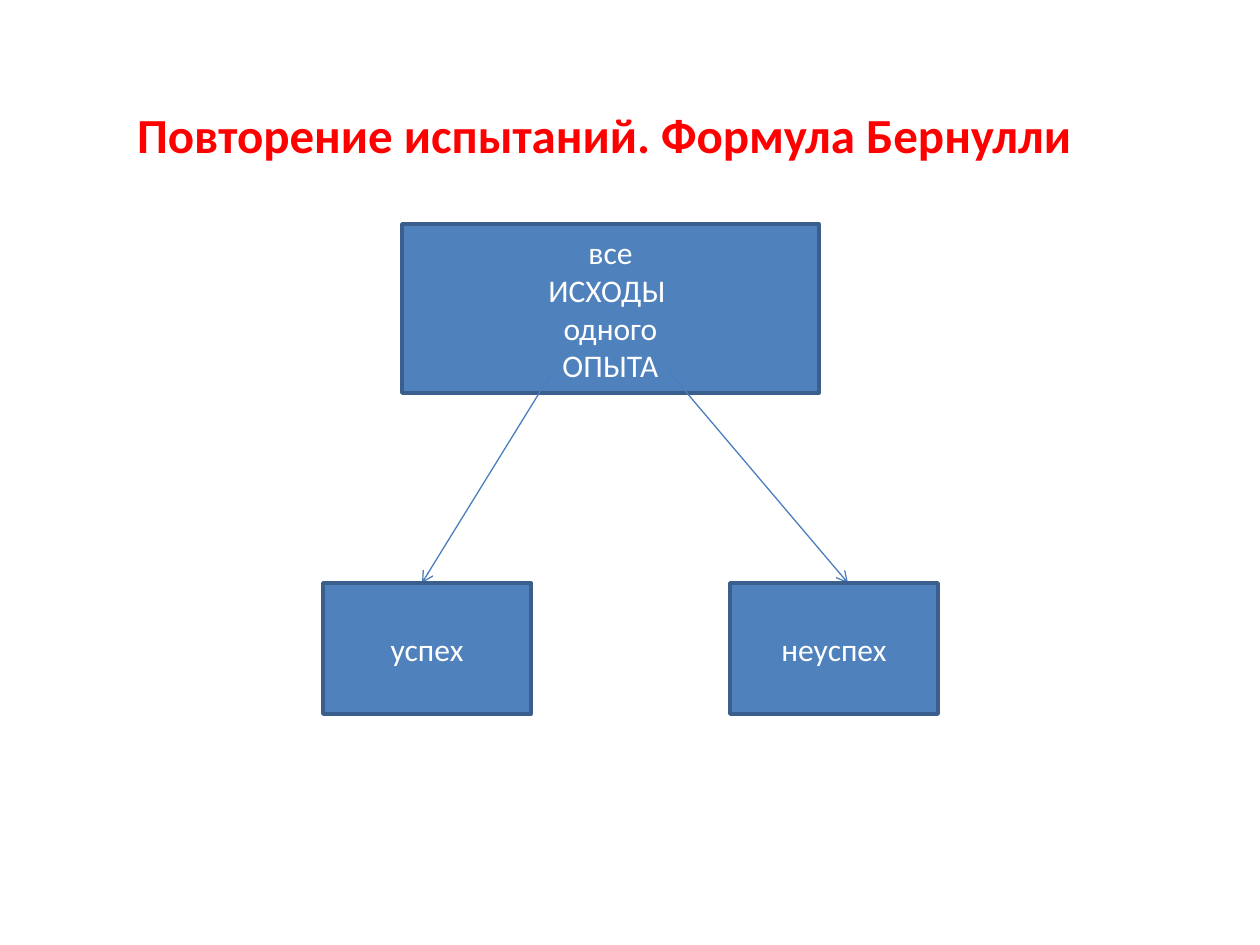
"""Build a slide showing the outcomes of one trial in the Bernoulli scheme."""
from dataclasses import dataclass

import lxml.etree
import pptx
import pptx.dml.color
import pptx.enum.shapes
import pptx.enum.text
import pptx.oxml.ns
import pptx.slide
import pptx.text.text
import pptx.util

EMU_PER_PX = 914400 / 126
FONT = "Calibri"
RED = pptx.dml.color.RGBColor(0xFF, 0x00, 0x00)
WHITE = pptx.dml.color.RGBColor(0xFF, 0xFF, 0xFF)
BOX_FILL = pptx.dml.color.RGBColor(0x4F, 0x81, 0xBD)
BOX_BORDER = pptx.dml.color.RGBColor(0x3A, 0x5F, 0x8C)
ARROW_BLUE = pptx.dml.color.RGBColor(0x4B, 0x7E, 0xBC)


@dataclass(frozen=True)
class Box:
    left: int
    top: int
    width: int
    height: int
    lines: tuple[str, ...]


@dataclass(frozen=True)
class Arrow:
    start: tuple[int, int]
    end: tuple[int, int]


TITLE = Box(74, 32, 1071, 203, ("Повторение испытаний. Формула Бернулли ",))
OUTCOMES = Box(402, 224, 417, 169, ("все", "ИСХОДЫ ", "одного", "ОПЫТА"))
ARROWS = (Arrow((670, 373), (848, 583)), Arrow((551, 374), (422, 583)))
RESULTS = (
    Box(323, 583, 208, 131, ("успех",)),
    Box(730, 583, 208, 131, ("неуспех",)),
)


def px(length: int) -> pptx.util.Emu:
    return pptx.util.Emu(round(length * EMU_PER_PX))


def bounds(box: Box) -> tuple[pptx.util.Emu, ...]:
    return px(box.left), px(box.top), px(box.width), px(box.height)


def write_lines(
    frame: pptx.text.text.TextFrame,
    lines: tuple[str, ...],
    size: int,
    color: pptx.dml.color.RGBColor,
    bold: bool = False,
) -> None:
    frame.word_wrap = True
    frame.vertical_anchor = pptx.enum.text.MSO_ANCHOR.MIDDLE
    for index, line in enumerate(lines):
        para = frame.add_paragraph() if index else frame.paragraphs[0]
        para.alignment = pptx.enum.text.PP_ALIGN.CENTER
        span = para.add_run()
        span.text = line
        span.font.name = FONT
        span.font.size = pptx.util.Pt(size)
        span.font.bold = bold
        span.font.color.rgb = color


def draw_title(page: pptx.slide.Slide, title: Box) -> None:
    shape = page.shapes.add_textbox(*bounds(title))
    write_lines(shape.text_frame, title.lines, 28, RED, bold=True)


def draw_box(page: pptx.slide.Slide, box: Box) -> None:
    shape = page.shapes.add_shape(
        pptx.enum.shapes.MSO_SHAPE.RECTANGLE, *bounds(box)
    )
    shape.shadow.inherit = False
    shape.fill.solid()
    shape.fill.fore_color.rgb = BOX_FILL
    shape.line.color.rgb = BOX_BORDER
    shape.line.width = pptx.util.Pt(2)
    write_lines(shape.text_frame, box.lines, 18, WHITE)


def draw_arrow(page: pptx.slide.Slide, arrow: Arrow) -> None:
    connector = page.shapes.add_connector(
        pptx.enum.shapes.MSO_CONNECTOR.STRAIGHT,
        *map(px, arrow.start + arrow.end),
    )
    connector.line.color.rgb = ARROW_BLUE
    connector.line.width = pptx.util.Pt(0.75)
    outline = connector.line._get_or_add_ln()
    qn = pptx.oxml.ns.qn
    lxml.etree.SubElement(outline, qn("a:tailEnd"), type="arrow")
    lxml.etree.SubElement(outline.getparent(), qn("a:effectLst"))


def main() -> None:
    deck = pptx.Presentation()
    deck.slide_width = px(1260)
    deck.slide_height = px(945)
    page = deck.slides.add_slide(deck.slide_layouts[6])
    draw_title(page, TITLE)
    draw_box(page, OUTCOMES)
    for arrow in ARROWS:
        draw_arrow(page, arrow)
    for result in RESULTS:
        draw_box(page, result)
    deck.save("out.pptx")


if __name__ == "__main__":
    main()
